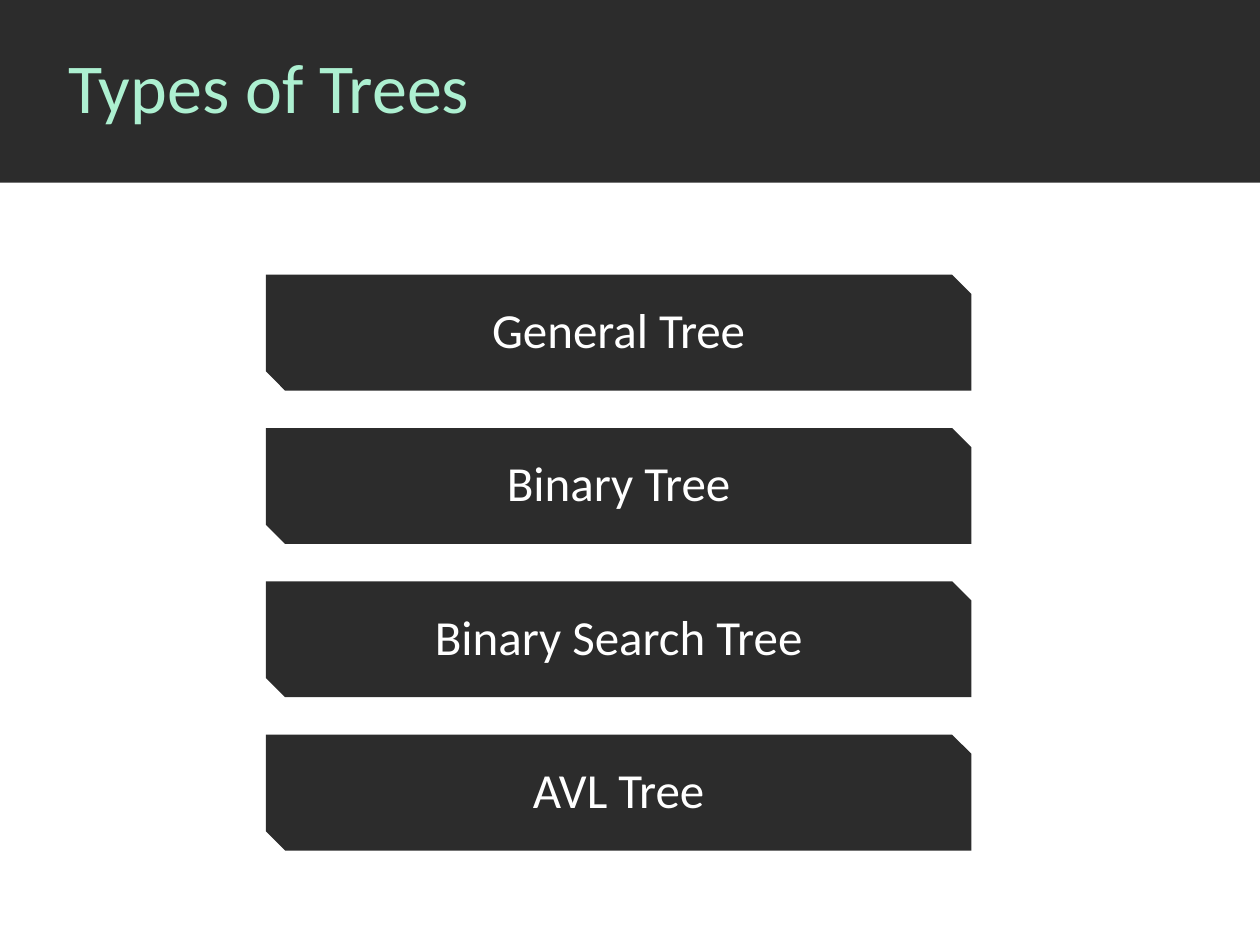
from pptx import Presentation
from pptx.dml.color import RGBColor
from pptx.enum.shapes import MSO_SHAPE
from pptx.enum.text import MSO_ANCHOR, PP_ALIGN
from pptx.util import Inches, Pt

RECTANGLE = MSO_SHAPE.RECTANGLE
SNIPPED = MSO_SHAPE.SNIP_2_DIAG_RECTANGLE
MIDDLE = MSO_ANCHOR.MIDDLE
LEFT, CENTER = PP_ALIGN.LEFT, PP_ALIGN.CENTER

COLORS = {"dark": "2C2C2C", "mint": "ADF0D1", "white": "FFFFFF"}
TREE_TYPES = ["General Tree", "Binary Tree", "Binary Search Tree", "AVL Tree"]
FIRST_TOP, LAST_TOP = 2.18, 5.83
PITCH = (LAST_TOP - FIRST_TOP) / (len(TREE_TYPES) - 1)


class SlideBuilder:
    """Holds the slide and the style shared by its elements."""

    font = "Calibri"
    line_spacing = 0.9

    def __init__(self, slide):
        self.slide = slide

    def add_text(self, frame, text, size, color, align):
        frame.word_wrap = True
        frame.vertical_anchor = MIDDLE
        paragraph = frame.paragraphs[0]
        paragraph.alignment = align
        paragraph.line_spacing = self.line_spacing
        run = paragraph.add_run()
        run.text = text
        run.font.name = self.font
        run.font.size = Pt(size)
        run.font.color.rgb = RGBColor.from_string(COLORS[color])

    def block(self, preset, left, top, width, height, color):
        """Add a filled shape without outline or shadow."""
        shape = self.slide.shapes.add_shape(
            preset, Inches(left), Inches(top), Inches(width), Inches(height))
        shape.shadow.inherit = False
        shape.fill.solid()
        shape.fill.fore_color.rgb = RGBColor.from_string(COLORS[color])
        shape.line.fill.background()
        return shape

    def title(self, text):
        """Place the title over a dark band across the slide."""
        band = self.block(RECTANGLE, 0, 0, 10, 1.45, "dark")
        title = self.slide.shapes.title
        title.element.addprevious(band.element)
        title.left, title.top = Inches(0.44), Inches(0)
        title.width, title.height = Inches(9.56), Inches(1.44)
        self.add_text(title.text_frame, text, 40, "mint", LEFT)

    def tree_card(self, text, top):
        card = self.block(SNIPPED, 2.11, top, 5.6, 0.92, "dark")
        frame = card.text_frame
        frame.margin_left = frame.margin_right = Inches(0.15)
        frame.margin_top = frame.margin_bottom = Inches(0.1)
        self.add_text(frame, text, 28, "white", CENTER)


def main():
    deck = Presentation()
    deck.slide_width, deck.slide_height = Inches(10), Inches(7.5)
    title_only = deck.slide_layouts[5]
    builder = SlideBuilder(deck.slides.add_slide(title_only))
    builder.title("Types of Trees")
    for row, tree_type in enumerate(TREE_TYPES):
        builder.tree_card(tree_type, FIRST_TOP + row * PITCH)
    deck.save("out.pptx")


if __name__ == "__main__":
    main()
